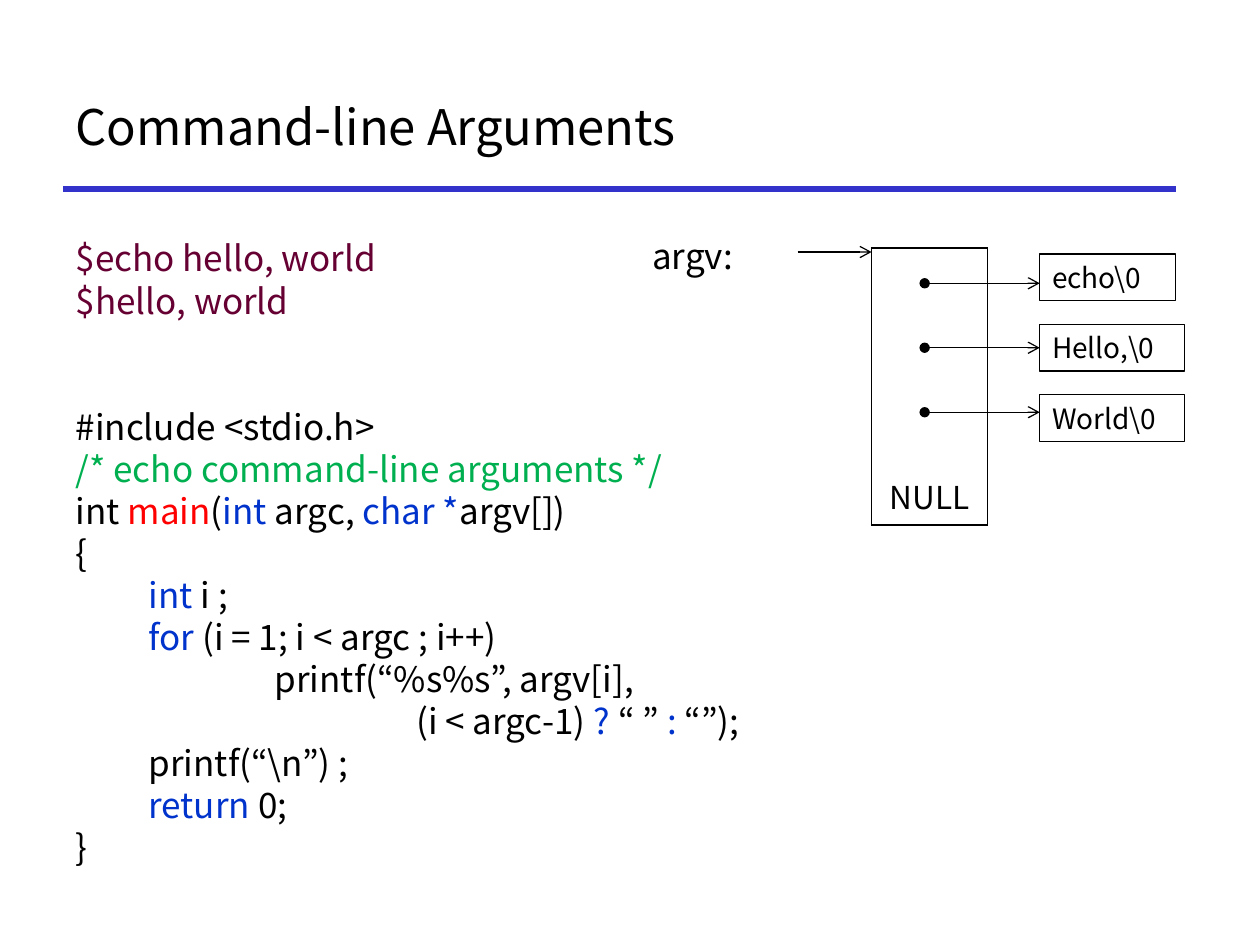
from dataclasses import dataclass
from lxml.etree import SubElement as Sub
from pptx import Presentation
from pptx.dml.color import RGBColor
from pptx.enum.shapes import MSO_CONNECTOR as Link, MSO_SHAPE as Kind
from pptx.enum.text import MSO_ANCHOR as Anchor, MSO_AUTO_SIZE as Fit, PP_ALIGN as Align
from pptx.oxml.ns import qn
from pptx.util import Cm, Pt

FONT = "Noto Sans CJK KR"
BLACK = RGBColor(0x00, 0x00, 0x00)
WHITE = RGBColor(0xFF, 0xFF, 0xFF)
PLUM = RGBColor(0x66, 0x00, 0x33)
GREEN = RGBColor(0x00, 0xB0, 0x50)
RED = RGBColor(0xFF, 0x00, 0x00)
BLUE = RGBColor(0x00, 0x33, 0xCC)
RULE = RGBColor(0x33, 0x33, 0xCC)


@dataclass
class Box:
    text: str
    width: float


@dataclass
class Line:
    runs: list
    gap: int = 0


BOXES = [Box("echo\\0", 2.74), Box("Hello,\\0", 2.92), Box("World\\0", 2.92)]
CODE = [
    Line([("$echo hello, world", PLUM)]),
    Line([("$hello, world", PLUM)]),
    Line([("#include <stdio.h>", BLACK)], 48),
    Line([("/* echo command-line arguments */", GREEN)]),
    Line([("int ", BLACK), ("main", RED), ("(", BLACK), ("int ", BLUE),
          ("argc, ", BLACK), ("char *", BLUE), ("argv[])", BLACK)]),
    Line([("{", BLACK)]),
    Line([("\t", BLACK), ("int ", BLUE), ("i ;", BLACK)]),
    Line([("\t", BLACK), ("for", BLUE), (" (i = 1; i < argc ; i++)", BLACK)]),
    Line([("\t\tprintf(“%s%s”, argv[i],\n\t\t  (i < argc-1) ", BLACK), ("?", BLUE),
          (" “ ” ", BLACK), (":", BLUE), (" “”);", BLACK)]),
    Line([("\tprintf(“\\n”) ;", BLACK)]),
    Line([("\t", BLACK), ("return", BLUE), (" 0;", BLACK)]),
    Line([("}", BLACK)]),
]


def write(para, text: str, size: int = 20, color: RGBColor = BLACK, align=Align.LEFT) -> None:
    para.alignment = align
    for i, part in enumerate(text.split("\n")):
        if i:
            para.add_line_break()
        run = para.add_run()
        run.text = part
        font = run.font
        font.size, font.name = Pt(size), FONT
        font.color.rgb = color
        Sub(font._element, qn("a:ea"), typeface=FONT)


def place(shape, left: float, top: float, width: float, height: float) -> None:
    shape.left, shape.top = Cm(left), Cm(top)
    shape.width, shape.height = Cm(width), Cm(height)


def frame(shape, anchor=Anchor.MIDDLE, wrap: bool = True):
    body = shape.text_frame
    body.auto_size, body.word_wrap = Fit.NONE, wrap
    body.vertical_anchor = anchor
    return body


def draw_line(shapes, x: float, y: float, end: float, color: RGBColor = BLACK,
              width: float = 0.75, head: str = "", tail: str = ""):
    line = shapes.add_connector(Link.STRAIGHT, Cm(x), Cm(y), Cm(end), Cm(y))
    line.line.color.rgb, line.line.width = color, Pt(width)
    for tag, style in (("a:headEnd", head), ("a:tailEnd", tail)):
        if style:
            Sub(line.line._ln, qn(tag), type=style)
    Sub(line._element.spPr, qn("a:effectLst"))
    return line


def draw_code(body) -> None:
    for i, item in enumerate(CODE):
        para = body.paragraphs[0] if i == 0 else body.add_paragraph()
        props = para._p.get_or_add_pPr()
        for key, size in (("marL", 1.47), ("indent", -1.47), ("defTabSz", 2.54)):
            props.set(key, str(Cm(size)))
        Sub(props, qn("a:buNone"))
        para.line_spacing, para.space_before = Pt(24), Pt(item.gap)
        for text, color in item.runs:
            write(para, text, color=color)


def edge(cell, side: str, shown: bool) -> None:
    line = Sub(cell._tc.get_or_add_tcPr(), qn("a:ln" + side), w=str(Pt(1)))
    if shown:
        fill = Sub(line, qn("a:solidFill"))
        Sub(fill, qn("a:srgbClr"), val=str(BLACK))
    else:
        Sub(line, qn("a:noFill"))


def draw_array(shapes) -> None:
    rows = [1.47, 1.47, 1.47, 1.17]
    table = shapes.add_table(len(rows), 1, Cm(17.57), Cm(5), Cm(2.34), Cm(sum(rows))).table
    table.first_row = table.horz_banding = False
    for i, high in enumerate(rows):
        table.rows[i].height = Cm(high)
        cell = table.cell(i, 0)
        for side in "LRTB":
            shown = side in "LR" or (side, i) in (("T", 0), ("B", len(rows) - 1))
            edge(cell, side, shown)
        cell.fill.solid()
        cell.fill.fore_color.rgb = WHITE
    write(cell.text_frame.paragraphs[0], "NULL", size=18, align=Align.CENTER)


def draw_box(shapes, item: Box, top: float):
    box = shapes.add_shape(Kind.RECTANGLE, Cm(20.96), Cm(top), Cm(item.width), Cm(0.94))
    box.shadow.inherit = False
    box.fill.background()
    box.line.color.rgb, box.line.width = BLACK, Pt(0.75)
    write(frame(box, wrap=False).paragraphs[0], item.text, size=16)
    return box


def main() -> None:
    deck = Presentation()
    deck.slide_width, deck.slide_height = Cm(25.4), Cm(19.05)
    slide = deck.slides.add_slide(deck.slide_layouts[1])
    shapes = slide.shapes
    draw_line(shapes, 1.27, 3.81, 23.7, color=RULE, width=3)

    title, body = slide.placeholders
    place(title, 1.27, 1.27, 22.43, 2.54)
    write(frame(title).paragraphs[0], "Command-line Arguments", size=28)
    place(body, 1.27, 4.65, 23.06, 13.34)
    draw_code(frame(body, Anchor.TOP))

    draw_array(shapes)
    for i, item in enumerate(BOXES):
        box = draw_box(shapes, item, 5.12 + 1.42 * i)
        line = draw_line(shapes, 18.64, 5.71 + 1.3 * i, 20.96, head="oval", tail="arrow")
        if i == 1:
            line.end_connect(box, 1)
    draw_line(shapes, 16.08, 5.08, 17.57, tail="arrow")

    label = shapes.add_textbox(Cm(12.9), Cm(4.6), Cm(2.16), Cm(1.12))
    write(frame(label, wrap=False).paragraphs[0], "argv:")
    deck.save("out.pptx")


if __name__ == "__main__":
    main()
